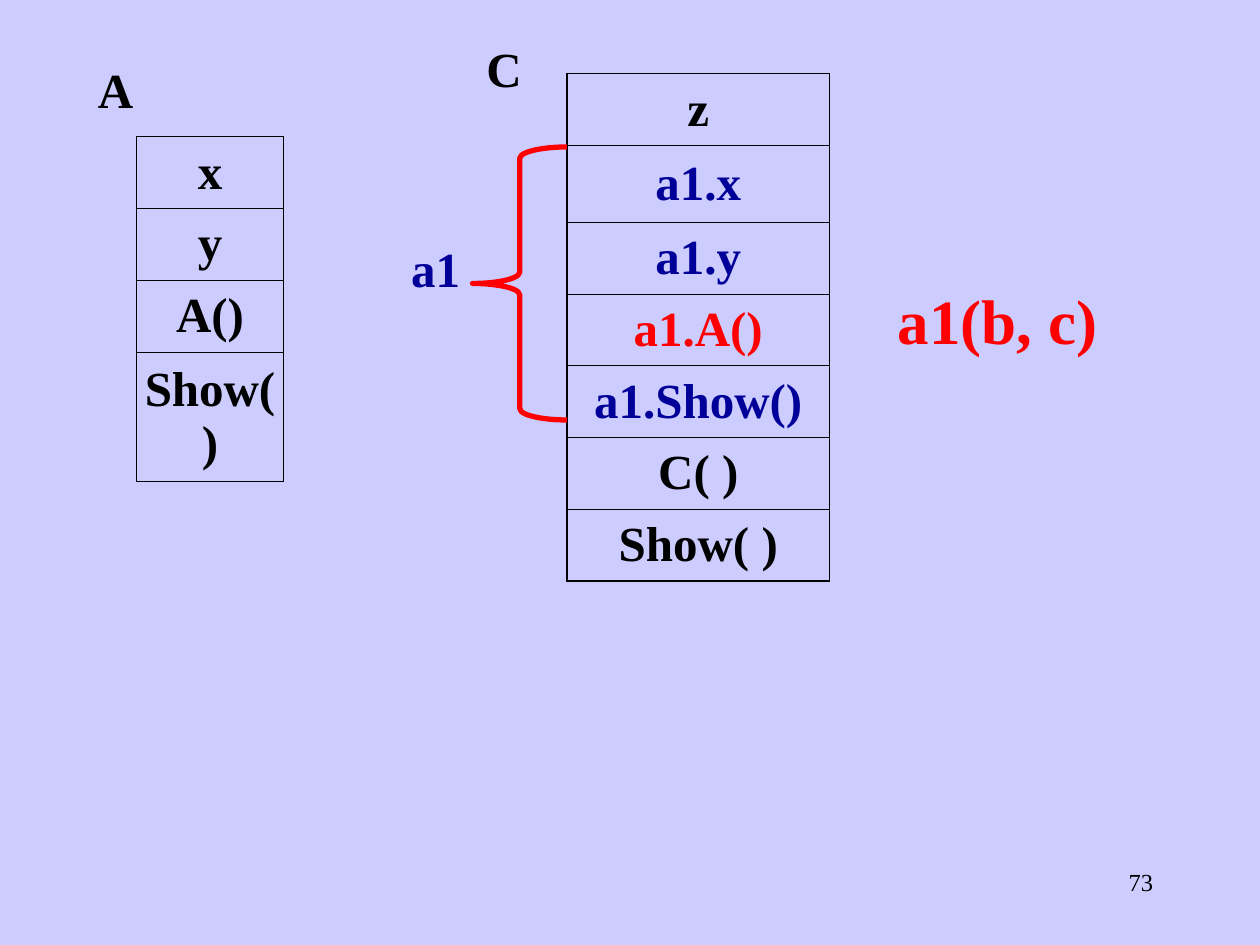
from typing import NamedTuple

from lxml.etree import SubElement
from pptx import Presentation
from pptx.dml.color import RGBColor
from pptx.enum.shapes import MSO_SHAPE as Shape
from pptx.enum.text import MSO_ANCHOR as Anchor, PP_ALIGN as Align
from pptx.oxml.ns import qn
from pptx.util import Inches, Pt

FONT = "Times New Roman"
BLACK, BLUE, RED, BACK = "000000", "000099", "FF0000", "CCCCFF"
WIDE, HIGH = 10, 7.5
COLS, ROWS = 120, 90  # grid cells of 1/12 inch
OUTER, INNER = 1.08, 0.45  # table line widths in points


class Label(NamedTuple):
    text: str
    col: float
    row: float
    cols: float
    rows: float
    color: str = BLACK
    size: int = 28
    bold: bool = True
    align: Align = Align.CENTER
    inset: tuple = (0.02, 0.01)
    lead: float = 1.1


class Member(NamedTuple):
    text: str
    color: str = BLACK
    high: float = 0.57


class Table(NamedTuple):
    col: float
    row: float
    cols: float
    members: list


def paint(color: str) -> RGBColor:
    return RGBColor.from_string(color)


def across(cols: float) -> int:
    return Inches(WIDE * cols / COLS)


def down(rows: float) -> int:
    return Inches(HIGH * rows / ROWS)


def style(para, color: str, size: int, bold: bool, align: Align) -> None:
    para.alignment = align
    for run in para.runs:
        font = run.font
        font.name, font.size, font.bold = FONT, Pt(size), bold
        font.color.rgb = paint(color)


def draw_label(slide, label: Label) -> None:
    box = slide.shapes.add_textbox(across(label.col), down(label.row),
                                   across(label.cols), down(label.rows))
    frame = box.text_frame
    frame.word_wrap = True
    side, edge = map(Inches, label.inset)
    frame.margin_left = frame.margin_right = side
    frame.margin_top = frame.margin_bottom = edge
    frame.text = label.text
    para = frame.paragraphs[0]
    para.line_spacing = label.lead
    style(para, label.color, label.size, label.bold, label.align)


def draw_edges(cell, top: float, bottom: float) -> None:
    props = cell._tc.get_or_add_tcPr()
    widths = {"lnL": OUTER, "lnR": OUTER, "lnT": top, "lnB": bottom}
    for tag, width in widths.items():
        line = SubElement(props, qn(f"a:{tag}"), w=str(Pt(width)))
        fill = SubElement(line, qn("a:solidFill"))
        SubElement(fill, qn("a:srgbClr"), val=BLACK)


def draw_table(slide, spec: Table) -> None:
    count = len(spec.members)
    high = Inches(sum(member.high for member in spec.members))
    table = slide.shapes.add_table(count, 1, across(spec.col), down(spec.row),
                                   across(spec.cols), high).table
    table.first_row = table.horz_banding = False
    for i, member in enumerate(spec.members):
        table.rows[i].height = Inches(member.high)
        cell = table.cell(i, 0)
        draw_edges(cell, OUTER if i == 0 else INNER,
                   OUTER if i == count - 1 else INNER)
        cell.fill.background()
        cell.vertical_anchor = Anchor.MIDDLE
        cell.margin_left = cell.margin_right = Inches(0.02)
        cell.margin_top = cell.margin_bottom = Inches(0.05)
        cell.text_frame.text = member.text
        style(cell.text_frame.paragraphs[0], member.color, 28, True, Align.CENTER)


def draw_brace(slide, col: float, row: float, cols: float, rows: float) -> None:
    brace = slide.shapes.add_shape(Shape.LEFT_BRACE, across(col), down(row),
                                   across(cols), down(rows))
    brace.shadow.inherit = False
    brace.fill.background()
    brace.line.color.rgb = paint(RED)
    brace.line.width = Pt(3)
    brace.adjustments[0] = 0.12  # curl size
    brace.adjustments[1] = 0.5  # tip at the middle


TABLES = [
    Table(13, 13, 14, [Member("x"), Member("y"), Member("A()"),
                       Member("Show()", high=1.03)]),
    Table(54, 7, 25, [Member("z"), Member("a1.x", BLUE, 0.61),
                      Member("a1.y", BLUE), Member("a1.A()", RED),
                      Member("a1.Show()", BLUE), Member("C( )"),
                      Member("Show( )")]),
]

LABELS = [
    Label("a1", 38, 22, 7, 6.5, BLUE),
    Label("A", 7, 5, 8, 6.5),
    Label("C", 44, 3, 8, 6.5),
    Label("a1(b, c)", 83, 26, 24, 8.2, RED, 36),
    Label("73", 86, 82, 25, 6, size=14, bold=False, align=Align.RIGHT,
          inset=(0.1, 0.05), lead=1.0),
]


def main() -> None:
    deck = Presentation()
    deck.slide_width, deck.slide_height = Inches(WIDE), Inches(HIGH)
    slide = deck.slides.add_slide(deck.slide_layouts[6])
    fill = slide.background.fill
    fill.solid()
    fill.fore_color.rgb = paint(BACK)

    # Class members
    for table in TABLES:
        draw_table(slide, table)

    # Members of the embedded object
    draw_brace(slide, 45, 14, 9, 26)

    # Names and page number
    for label in LABELS:
        draw_label(slide, label)

    deck.save("out.pptx")


if __name__ == "__main__":
    main()
